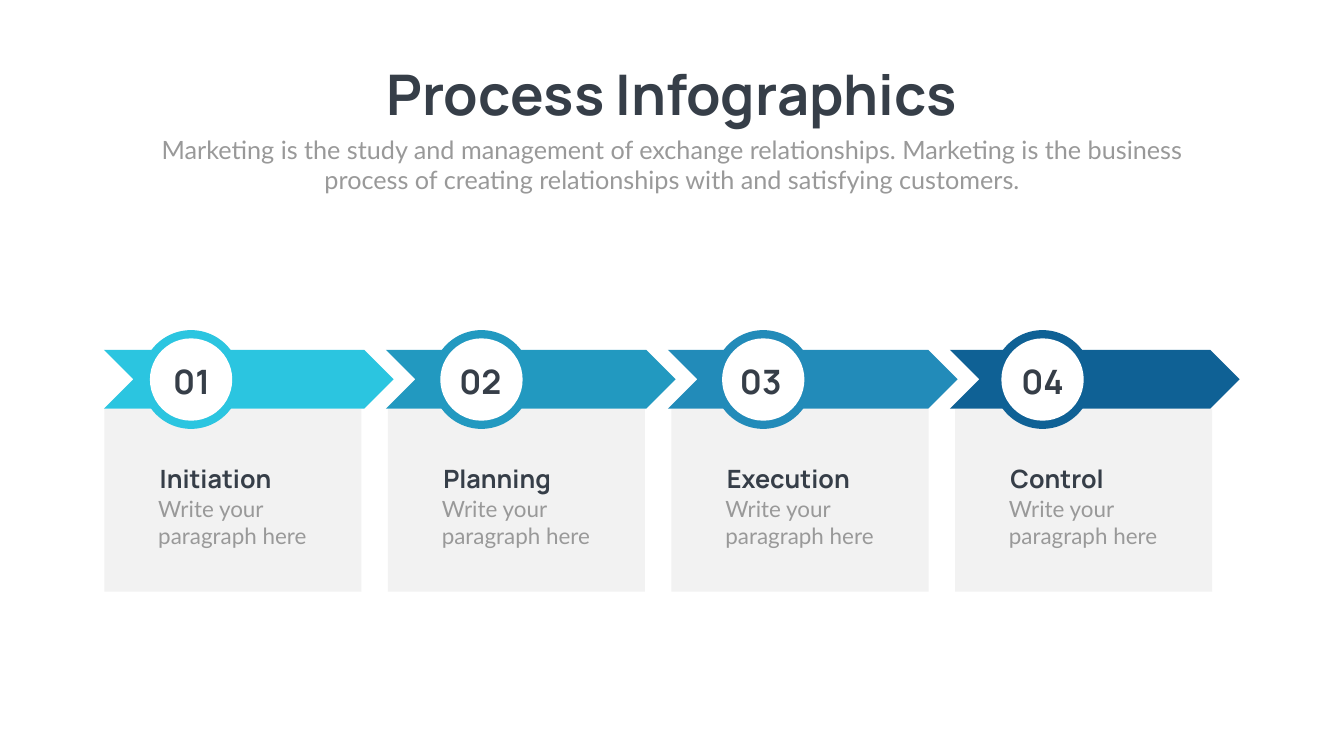
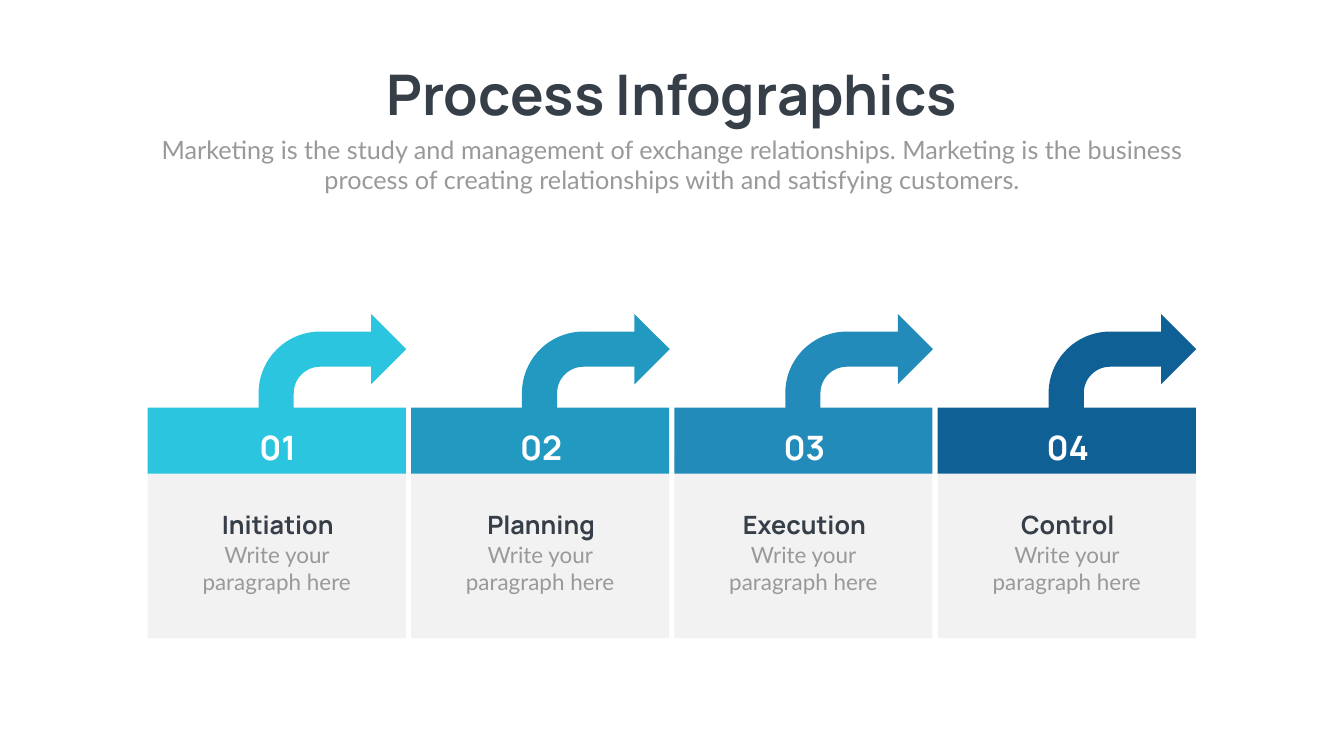
from pptx import Presentation
from pptx.dml.color import RGBColor
from pptx.enum.shapes import MSO_SHAPE
from pptx.enum.text import MSO_AUTO_SIZE, PP_ALIGN
from pptx.util import Pt

RECT, CHEVRON = MSO_SHAPE.RECTANGLE, MSO_SHAPE.CHEVRON
OVAL, BENT_ARROW = MSO_SHAPE.OVAL, MSO_SHAPE.BENT_ARROW
LEFT, CENTER = PP_ALIGN.LEFT, PP_ALIGN.CENTER
FIT = MSO_AUTO_SIZE.SHAPE_TO_FIT_TEXT

COLORS = {
    "ink": "363E48", "muted": "999999", "card": "F2F2F2", "white": "FFFFFF",
    "cyan": "2BC5E0", "teal": "2299C0", "blue": "228BB9", "navy": "0F6195",
}
HEADING_FONT, BODY_FONT = "Manrope", "Lato"

TITLE = "Process Infographics"
SUBTITLE = ("Marketing is the study and management of exchange relationships. "
            "Marketing is the business process of creating relationships "
            "with and satisfying customers.")
BODY = "Write your paragraph here"
STAGES = [("Initiation", "cyan"), ("Planning", "teal"),
          ("Execution", "blue"), ("Control", "navy")]


def add_text(page, text, left, top, width, height, *, size, font=HEADING_FONT,
             color="ink", bold=True, align=CENTER, wrap=True):
    box = page.shapes.add_textbox(Pt(left), Pt(top), Pt(width), Pt(height))
    frame = box.text_frame
    frame.word_wrap = wrap
    frame.auto_size = FIT
    para = frame.paragraphs[0]
    para.alignment = align
    span = para.add_run()
    span.text = text
    span.font.name = font
    span.font.size = Pt(size)
    span.font.bold = bold
    span.font.color.rgb = RGBColor.from_string(COLORS[color])


def add_block(page, kind, left, top, width, height, color):
    """Add a flat filled shape with no outline."""
    shape = page.shapes.add_shape(kind, Pt(left), Pt(top), Pt(width), Pt(height))
    shape.shadow.inherit = False
    shape.fill.solid()
    shape.fill.fore_color.rgb = RGBColor.from_string(COLORS[color])
    shape.line.fill.background()


def add_heading(page, text, left, top, width, align):
    add_text(page, text, left, top, width, 51.12, size=36, align=align)


def add_body(page, left, top, width, align):
    add_text(page, BODY, left, top, width, 84.96, size=32, font=BODY_FONT,
             color="muted", bold=False, align=align)


def add_number(page, number, left, top, color):
    add_text(page, f"{number:02d}", left, top, 135.36, 65.52, size=48, color=color)


def add_page(deck):
    """Add a blank page with the shared title and subtitle."""
    page = deck.slides.add_slide(deck.slide_layouts[6])
    add_text(page, TITLE, 516.24, 82.08, 887.04, 104.4, size=80, wrap=False)
    add_text(page, SUBTITLE, 210.24, 187.92, 1499.04, 94.32, size=36,
             font=BODY_FONT, color="muted", bold=False)
    return page


def build_chevron_page(deck):
    page = add_page(deck)
    # Badges and numbers sit at hand-set places along the chevrons
    ring_lefts = [202.32, 617.04, 1019.52, 1418.4]
    number_lefts = [205.92, 618.48, 1018.8, 1421.28]
    ring, rim = 141.12, 11.76

    for i, (name, color) in enumerate(STAGES):
        # Card
        left = 149.04 + i * 405
        add_block(page, RECT, left, 583.92, 367.2, 261.36, "card")
        add_heading(page, name, left + 72, 658.08, 241.92, LEFT)
        add_body(page, left + 69.84, 703.44, 244.08, LEFT)
        # Chevron and numbered badge
        add_block(page, CHEVRON, 148.32 + i * 402.72, 499.68, 414, 84.24, color)
        add_block(page, OVAL, ring_lefts[i], 471.6, ring, ring, color)
        add_block(page, OVAL, ring_lefts[i] + rim, 471.6 + rim,
                  ring - 2 * rim, ring - 2 * rim, "white")
        add_number(page, i + 1, number_lefts[i], 511.92, "ink")


def build_arrow_page(deck):
    page = add_page(deck)
    for i, (name, color) in enumerate(STAGES):
        left = 210.96 + i * 376.1
        # Card, arrow and band
        add_block(page, RECT, left, 650.16, 368.64, 261.36, "card")
        add_block(page, BENT_ARROW, left + 158.4, 448.56, 210.96, 200.88, color)
        add_block(page, RECT, left, 582.48, 368.64, 94.32, color)
        # Text
        add_heading(page, name, left + 89.64, 723.6, 192.24, CENTER)
        add_body(page, left + 47.52, 768.96, 273.6, CENTER)
        add_number(page, i + 1, left + 118.08, 606.24, "white")


def main():
    deck = Presentation()
    deck.slide_width, deck.slide_height = Pt(1919.52), Pt(1080)
    build_chevron_page(deck)
    build_arrow_page(deck)
    deck.save("out.pptx")


main()
